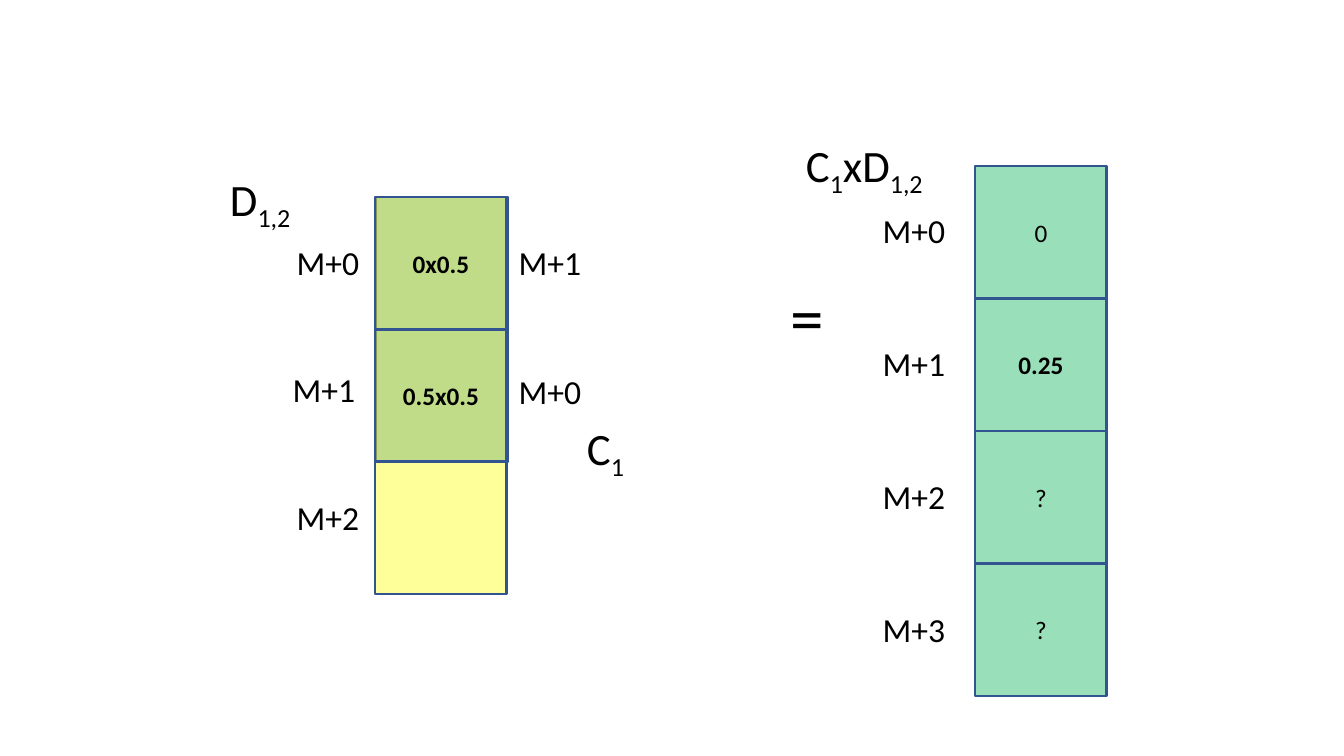
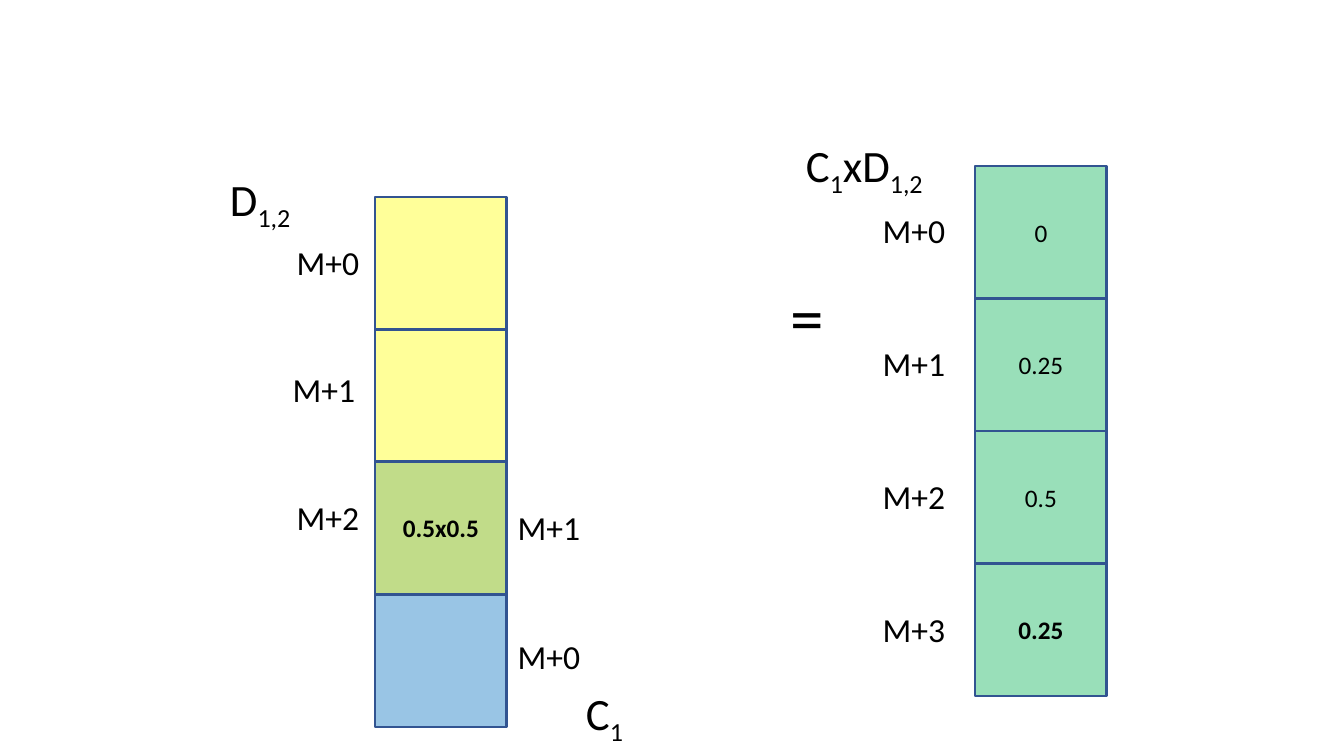
from lxml import etree
from pptx import Presentation
from pptx import util as u
from pptx.dml.color import RGBColor
from pptx.enum import shapes, text
from pptx.oxml import ns

# Shared look
PX = 914400 / 100.8
FONT = "Calibri"
INK, EDGE = "000000", "325491"
YELLOW, BLUE, GREEN = "FFFF00", "0070C0", "00B050"
OPACITY = 40
LABEL_W, LABEL_H = 122, 50
TITLE_H = 65


def px(length):
    return u.Emu(round(length * PX))


def color(hex_value):
    return RGBColor.from_string(hex_value)


def write(frame, parts, size=24, bold=False, align=text.PP_ALIGN.CENTER):
    """Fill a frame with runs; a part that starts with "_" is a subscript."""
    paragraph = frame.paragraphs[0]
    paragraph.alignment = align
    for part in parts:
        run = paragraph.add_run()
        run.text = part.lstrip("_")
        run.font.name, run.font.size, run.font.bold = FONT, u.Pt(size), bold
        run.font.color.rgb = color(INK)
        if part.startswith("_"):
            run._r.get_or_add_rPr().set("baseline", "-25000")


def add_label(parent, box, *parts, **style):
    frame = parent.add_textbox(*map(px, box)).text_frame
    frame.word_wrap = True
    frame.auto_size = text.MSO_AUTO_SIZE.SHAPE_TO_FIT_TEXT
    write(frame, parts, **style)


def add_cell(parent, box, fill, value, bold):
    cell = parent.add_shape(shapes.MSO_SHAPE.RECTANGLE, *map(px, box))
    cell.shadow.inherit = False
    cell.fill.solid()
    cell.fill.fore_color.rgb = color(fill)
    tint = cell._element.spPr.find(ns.qn("a:solidFill"))[0]
    etree.SubElement(tint, ns.qn("a:alpha")).set("val", str(OPACITY * 1000))
    cell.line.color.rgb = color(EDGE)
    cell.line.width = u.Pt(2)
    if value:
        cell.text_frame.vertical_anchor = text.MSO_ANCHOR.MIDDLE
        write(cell.text_frame, [value], size=18, bold=bold)


def add_column(slide, box, fill, values, bold_rows, label_boxes, labels, title_box, title):
    """A stack of cells with row labels and a title, grouped."""
    left, top, width, height = box
    parent = slide.shapes.add_group_shape().shapes
    cell_h = height / len(values)
    for row, value in enumerate(values):
        add_cell(parent, (left, top + row * cell_h, width, cell_h),
                 fill, value, row in bold_rows)
    for (dx, dy), label in zip(label_boxes, labels):
        add_label(parent, (left + dx, top + dy, LABEL_W, LABEL_H), label)
    dx, dy, title_w = title_box
    add_label(parent, (left + dx, top + dy, title_w, TITLE_H), *title,
              size=32, align=text.PP_ALIGN.LEFT)


def add_c_column(slide, box):
    add_column(slide, box, BLUE, ["", ""], (),
               [(113, 40 + 129 * row) for row in range(2)], ["M+1", "M+0"],
               (201, 219, 65), ["C", "_1"])


def add_d_column(slide, box, products):
    add_column(slide, box, YELLOW, products, range(3),
               [(-108, 40), (-112, 167), (-108, 295)], ["M+0", "M+1", "M+2"],
               (-155, -30, 104), ["D", "_1,2"])


def add_result_column(slide, box, sums, newest):
    add_column(slide, box, GREEN, sums, (newest,),
               [(-122, 39 + 133 * row) for row in range(4)],
               [f"M+{row}" for row in range(4)],
               (-179, -33, 147), ["C", "_1", "xD", "_1,2"])


def add_step(deck, c_box, products, sums, newest):
    """One step of the convolution: C slides along D, giving the result."""
    slide = deck.slides.add_slide(deck.slide_layouts[6])
    add_c_column(slide, c_box)
    add_d_column(slide, (375, 197, 132, 397), products)
    add_label(slide.shapes, (775, 270, 65, 92), "=", size=48)
    add_result_column(slide, (975, 166, 132, 530), sums, newest)


deck = Presentation()
deck.slide_width, deck.slide_height = px(1344), px(756)
add_step(deck, (376, 197, 132, 265), ["0x0.5", "0.5x0.5", ""],
         ["0", "0.25", "?", "?"], newest=1)
add_step(deck, (375, 462, 132, 265), ["", "", "0.5x0.5"],
         ["0", "0.25", "0.5", "0.25"], newest=3)
deck.save("out.pptx")
